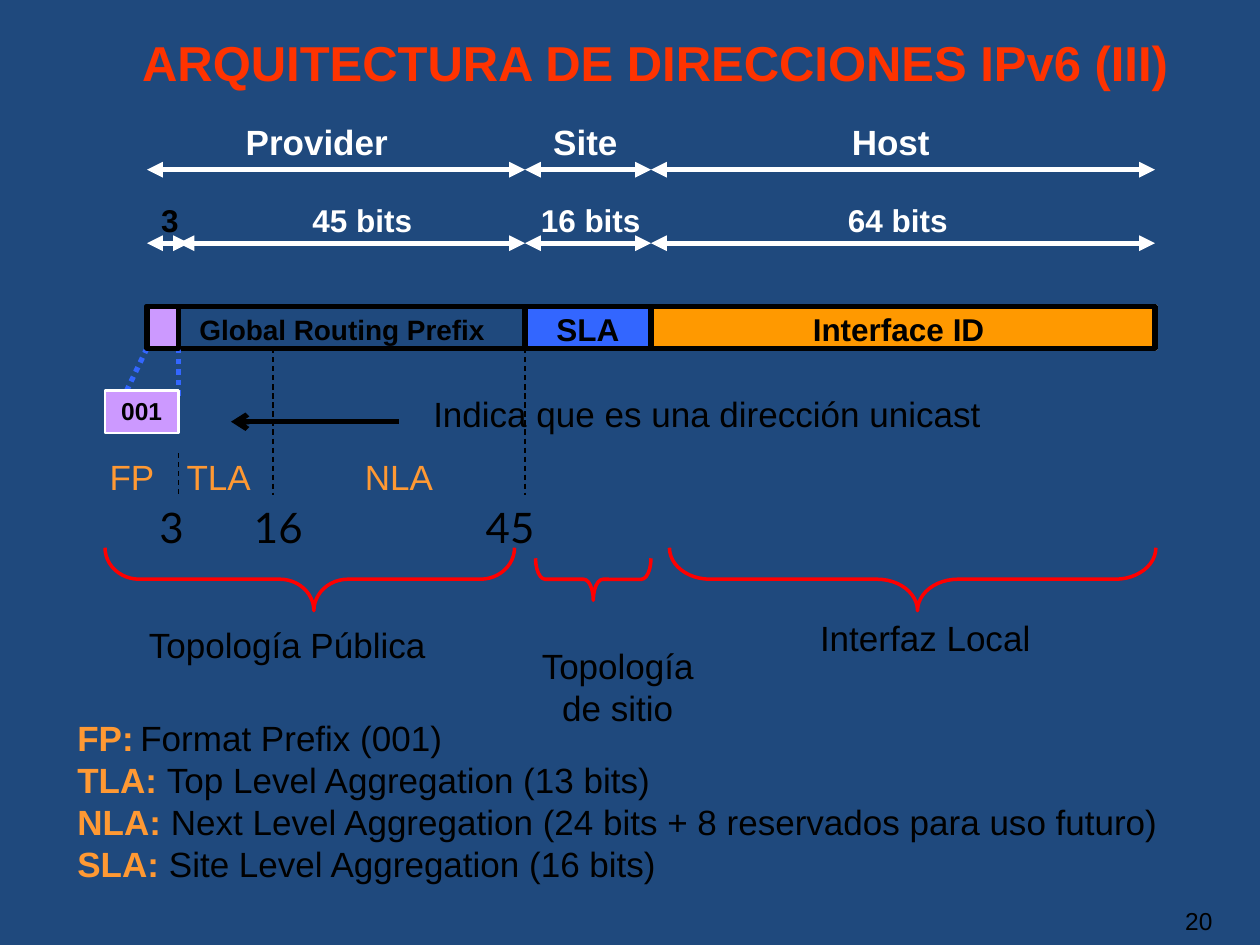
from dataclasses import dataclass
from typing import NamedTuple

from lxml import etree
from pptx import Presentation
from pptx import util as u
from pptx.dml import color
from pptx.enum import dml, shapes, text
from pptx.oxml import ns

LEFT, CENTER, RIGHT = text.PP_ALIGN.LEFT, text.PP_ALIGN.CENTER, text.PP_ALIGN.RIGHT


class Box(NamedTuple):
    x: float
    y: float
    w: float
    h: float


@dataclass(frozen=True)
class Theme:
    background: str = "1F497D"
    title: str = "FF3300"
    dark: str = "000000"
    light: str = "FFFFFF"
    accent: str = "FF9933"
    prefix: str = "CC99FF"
    site: str = "3366FF"
    host: str = "FF9900"
    brace: str = "FF0000"
    font: str = "Arial"
    number_font: str = "Lato"
    title_size: int = 28
    mark_size: int = 24
    body_size: int = 20
    field_size: int = 18
    routing_size: int = 16
    small_size: int = 14


T = Theme()


def rgb(value):
    return color.RGBColor.from_string(value)


def place(shape, box):
    shape.left, shape.top, shape.width, shape.height = (u.Pt(v) for v in box)


def add_run(paragraph, words, size, ink, bold=False, font=T.font):
    run = paragraph.add_run()
    run.text = words
    run.font.size = u.Pt(size)
    run.font.name = font
    run.font.bold = bold
    run.font.color.rgb = rgb(ink)


def prepare(frame, wrap=True):
    frame.word_wrap = wrap
    frame.auto_size = text.MSO_AUTO_SIZE.NONE
    frame.vertical_anchor = text.MSO_ANCHOR.TOP


def label(slide, box, words, size=T.body_size, ink=T.dark, bold=False,
          font=T.font, align=LEFT, wrap=True):
    frame = slide.shapes.add_textbox(*(u.Pt(v) for v in box)).text_frame
    prepare(frame, wrap)
    for i, line in enumerate(words.split("\n")):
        paragraph = frame.add_paragraph() if i else frame.paragraphs[0]
        paragraph.alignment = align
        add_run(paragraph, line, size, ink, bold, font)


def outline(slide, kind, box, line, width, fill=None):
    shape = slide.shapes.add_shape(kind, *(u.Pt(v) for v in box))
    shape.shadow.inherit = False
    if fill:
        shape.fill.solid()
        shape.fill.fore_color.rgb = rgb(fill)
    else:
        shape.fill.background()
    shape.line.color.rgb = rgb(line)
    shape.line.width = u.Pt(width)
    return shape


def rule(slide, start, end, ink, width=3, dash=None, head=None, tail=None):
    line = slide.shapes.add_connector(
        shapes.MSO_CONNECTOR.STRAIGHT, *(u.Pt(v) for v in (*start, *end)))
    line.line.color.rgb = rgb(ink)
    line.line.width = u.Pt(width)
    if dash:
        line.line.dash_style = dash
    properties = line._element.spPr
    stroke = properties.find(ns.qn("a:ln"))
    for tag, arrow in (("a:headEnd", head), ("a:tailEnd", tail)):
        if arrow:
            etree.SubElement(stroke, ns.qn(tag), type=arrow)
    etree.SubElement(properties, ns.qn("a:effectLst"))


def add_title(slide, box):
    title = slide.shapes.title
    place(title, box)
    prepare(title.text_frame)
    paragraph = title.text_frame.paragraphs[0]
    paragraph.alignment = LEFT
    add_run(paragraph, "ARQUITECTURA DE DIRECCIONES IPv6 (III)", T.title_size, T.title, True)


def add_ruler(slide, box, spans, size):
    """Double arrows along the bottom of the box, captions above them."""
    bottom = box.y + box.h
    for words, start, end, middle, ink in spans:
        rule(slide, (box.x + start, bottom), (box.x + end, bottom), T.light,
             head="triangle", tail="triangle")
        label(slide, Box(box.x + middle - 52, box.y, 104, box.h), words, size, ink,
              True, align=CENTER)


def add_address_bar(slide, box):
    rect = shapes.MSO_SHAPE.RECTANGLE
    bottom = box.y + box.h
    # Coloured fields and the frame around the whole address
    outline(slide, rect, Box(box.x + 288, box.y, 288, box.h), T.light, 3, T.host)
    outline(slide, rect, Box(box.x + 216, box.y, 72, box.h), T.dark, 3, T.site)
    outline(slide, rect, box, T.dark, 3)
    # Dotted lines that open up the format prefix
    for top_x, end_x, drop in ((0, -11.5, 24), (18, 18, 30)):
        rule(slide, (box.x + top_x, bottom), (box.x + end_x, bottom + drop), T.site,
             dash=dml.MSO_LINE.ROUND_DOT)
    outline(slide, rect, Box(box.x, box.y, 18, box.h), T.dark, 3, T.prefix)
    # Field names
    for words, left, right, top, size in (
            ("Global Routing Prefix", 18, 205, 0, T.routing_size),
            ("SLA", 216, 288, -1.5, T.field_size),
            ("Interface ID", 288, 571, -1.5, T.field_size)):
        label(slide, Box(box.x + left, box.y + top, right - left, 28), words, size,
              T.dark, True, align=CENTER)


def add_prefix_detail(slide, box):
    """Prefix value, its meaning, and the parts of the routing prefix."""
    value = outline(slide, shapes.MSO_SHAPE.RECTANGLE, Box(box.x - 24, box.y + 24, 42, 24.5),
                    T.light, 1.5, T.prefix)
    prepare(value.text_frame)
    paragraph = value.text_frame.paragraphs[0]
    paragraph.alignment = CENTER
    add_run(paragraph, "001", T.small_size, T.dark, True)
    rule(slide, (box.x + 48, box.y + 42), (box.x + 144, box.y + 42), T.dark, head="arrow")
    label(slide, Box(box.x + 156.5, box.y + 22, 328, 32),
          "Indica que es una dirección unicast", wrap=False)
    # Bit limits
    bottom = box.y + box.h
    for words, x, top, left, width, align in (
            ("3", 18, 60, 0, 24, LEFT),
            ("16", 72, 0, 54, 48, LEFT),
            ("45", 216, 0, 186.5, 42, RIGHT)):
        rule(slide, (box.x + x, box.y + top), (box.x + x, bottom), T.dark, 0.75,
             dml.MSO_LINE.DASH)
        label(slide, Box(box.x + left, bottom, width, 36), words, T.mark_size,
              font=T.number_font, align=align, wrap=False)
    # Part names
    for words, left, width in (("FP", -28.5, 40), ("TLA", 15.5, 51), ("NLA", 117.5, 53)):
        label(slide, Box(box.x + left, bottom - 26, width, 32), words, ink=T.accent, wrap=False)


def add_brace(slide, box, tip):
    """Downward brace filling the box; tip is its place from the right."""
    turned = Box(box.x + (box.w - box.h) / 2, box.y + (box.h - box.w) / 2, box.h, box.w)
    brace = outline(slide, shapes.MSO_SHAPE.RIGHT_BRACE, turned, T.brace, 2)
    brace.rotation = 90
    brace.adjustments[0] = box.w / box.h / 12
    brace.adjustments[1] = tip


def add_topologies(slide, box):
    for words, left, top, width, height, tip, caption in (
            ("Topología Pública", 0, 0, 234, 36, 0.49, (18, 40, 175, 32)),
            ("Topología\nde sitio", 246, 6, 66, 24, 0.5, (241, 52, 104, 56)),
            ("Interfaz Local", 322.5, 0, 278, 36, 0.49, (401.5, 36, 135, 32))):
        add_brace(slide, Box(box.x + left, box.y + top, width, height), tip)
        x, y, w, h = caption
        label(slide, Box(box.x + x, box.y + y, w, h), words,
              align=CENTER if "\n" in words else LEFT, wrap=False)


def add_glossary(slide, box):
    body = slide.placeholders[1]
    place(body, box)
    frame = body.text_frame
    prepare(frame)
    for i, (term, meaning) in enumerate((
            ("FP:\t", "Format Prefix (001)"),
            ("TLA: ", "Top Level Aggregation (13 bits)"),
            ("NLA: ", "Next Level Aggregation (24 bits + 8 reservados para uso futuro)"),
            ("SLA: ", "Site Level Aggregation (16 bits)"))):
        paragraph = frame.add_paragraph() if i else frame.paragraphs[0]
        properties = paragraph._p.get_or_add_pPr()
        properties.set("marL", "0")
        properties.set("indent", "0")
        etree.SubElement(properties, ns.qn("a:buNone"))
        tabs = etree.SubElement(properties, ns.qn("a:tabLst"))
        etree.SubElement(tabs, ns.qn("a:tab"), pos=str(u.Pt(54.5)), algn="l")
        paragraph.space_before = u.Pt(0)
        add_run(paragraph, term, T.body_size, T.accent, True)
        add_run(paragraph, meaning, T.body_size, T.dark)


def main():
    deck = Presentation()
    deck.slide_width, deck.slide_height = u.Pt(720), u.Pt(540)
    slide = deck.slides.add_slide(deck.slide_layouts[1])
    slide.background.fill.solid()
    slide.background.fill.fore_color.rgb = rgb(T.background)

    add_title(slide, Box(74, 15, 609, 41))
    add_address_bar(slide, Box(84, 175, 576, 24))
    add_ruler(slide, Box(84, 111.5, 576, 27.5), (
        ("3", 0, 24, 13, T.dark), ("45 bits", 18, 216, 123, T.light),
        ("16 bits", 216, 288, 253.5, T.light), ("64 bits", 288, 576, 429, T.light)),
        T.field_size)
    add_ruler(slide, Box(84, 65.5, 576, 31.5), (
        ("Provider", 0, 216, 97, T.light), ("Site", 216, 288, 250.5, T.light),
        ("Host", 288, 576, 425, T.light)), T.body_size)
    add_prefix_detail(slide, Box(84, 199, 576, 84))
    add_topologies(slide, Box(60, 313, 600, 108))
    add_glossary(slide, Box(37, 406, 646, 104))
    label(slide, Box(660, 514, 40, 26), "20", T.small_size, align=RIGHT)
    deck.save("out.pptx")


if __name__ == "__main__":
    main()
